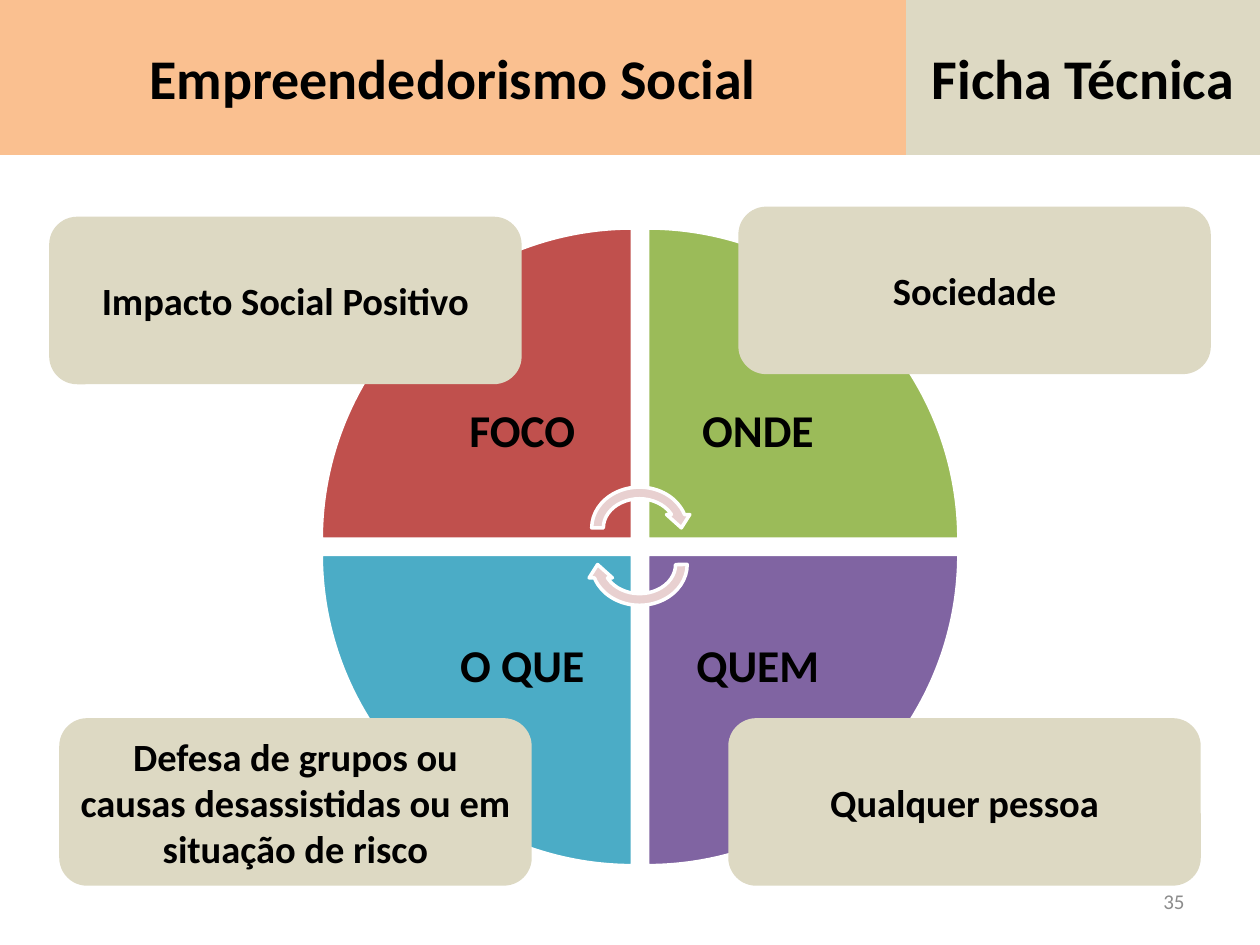
from pptx import Presentation
from pptx.dml.color import RGBColor
from pptx.enum.shapes import MSO_SHAPE
from pptx.enum.text import MSO_ANCHOR, PP_ALIGN
from pptx.util import Inches, Pt

COLORS = {
    "black": "000000", "white": "FFFFFF", "gray": "8C8C8C",
    "sand": "DDD9C3", "peach": "FAC090", "rose": "E8D0D0",
    "red": "C0504D", "green": "9BBB59", "purple": "8064A2", "blue": "4BACC6",
}


def color(name):
    return RGBColor.from_string(COLORS[name])


class Deck:
    font = {"name": "Calibri", "bold": True}

    def __init__(self):
        self.prs = Presentation()
        self.prs.slide_width, self.prs.slide_height = Inches(10), Inches(7.5)
        self.slide = self.prs.slides.add_slide(self.prs.slide_layouts[5])

    def letter(self, shape, text, size, ink="black", align=PP_ALIGN.CENTER, inset=None, **extra):
        frame = shape.text_frame
        frame.text = text
        frame.word_wrap = True
        frame.vertical_anchor = MSO_ANCHOR.MIDDLE
        if inset is not None:
            for side in ("left", "right", "top", "bottom"):
                setattr(frame, f"margin_{side}", Inches(inset))
        para = frame.paragraphs[0]
        para.alignment = align
        font = para.runs[0].font
        for key, value in {**self.font, "size": Pt(size), **extra}.items():
            setattr(font, key, value)
        font.color.rgb = color(ink)

    def title(self, text, box, fill):
        shape = self.slide.shapes.title
        for key, value in zip(("left", "top", "width", "height"), box):
            setattr(shape, key, Inches(value))
        shape.fill.solid()
        shape.fill.fore_color.rgb = color(fill)
        self.letter(shape, text, 32)

    def shape(self, kind, box, fill, edge=None, turn=0):
        shape = self.slide.shapes.add_shape(kind, *map(Inches, box))
        shape.shadow.inherit = False
        shape.rotation = turn
        shape.fill.solid()
        shape.fill.fore_color.rgb = color(fill)
        if edge:
            shape.line.color.rgb = color(edge)
            shape.line.width = Pt(2)
        else:
            shape.line.fill.background()
        return shape

    def panel(self, kind, box, text, size):
        self.letter(self.shape(kind, box, "sand"), text, size)

    def label(self, box, text, size, **style):
        self.letter(self.slide.shapes.add_textbox(*map(Inches, box)), text, size, **style)


def main():
    deck = Deck()
    deck.title("Empreendedorismo Social", (0, 0, 7.19, 1.23), "peach")
    deck.panel(MSO_SHAPE.FLOWCHART_PROCESS, (7.19, 0, 2.81, 1.23), "Ficha Técnica", 32)
    deck.label((7.17, 6.95, 2.33, 0.4), "35", 12, ink="gray", align=PP_ALIGN.RIGHT, bold=False)

    mid_x, mid_y, gap, wedge, inner = 5.08, 4.34, 0.06, 2.47, 1.75
    parts = [
        ("FOCO", "red", -1, -1),
        ("ONDE", "green", 1, -1),
        ("QUEM", "purple", 1, 1),
        ("O QUE", "blue", -1, 1),
    ]

    def place(size, dx, dy):
        left = mid_x + (gap if dx > 0 else -gap - size)
        top = mid_y + (gap if dy > 0 else -gap - size)
        return left, top, size, size

    for step, (text, fill, dx, dy) in enumerate(parts):
        deck.shape(MSO_SHAPE.PIE_WEDGE, place(wedge, dx, dy), fill, "white", 90 * step)
        deck.label(place(inner, dx, dy), text, 26, inset=0.2)

    for top, turn in ((3.82, 0), (4.11, 180)):
        deck.shape(MSO_SHAPE.CIRCULAR_ARROW, (4.65, top, 0.85, 0.74), "rose", "white", turn)

    cards = [
        (5.78, 5.7, "Qualquer pessoa"),
        (0.47, 5.7, "Defesa de grupos ou causas desassistidas ou em situação de risco"),
        (5.86, 1.64, "Sociedade"),
        (0.39, 1.72, "Impacto Social Positivo"),
    ]
    for left, top, text in cards:
        deck.panel(MSO_SHAPE.ROUNDED_RECTANGLE, (left, top, 3.75, 1.33), text, 22)

    deck.prs.save("out.pptx")


if __name__ == "__main__":
    main()
